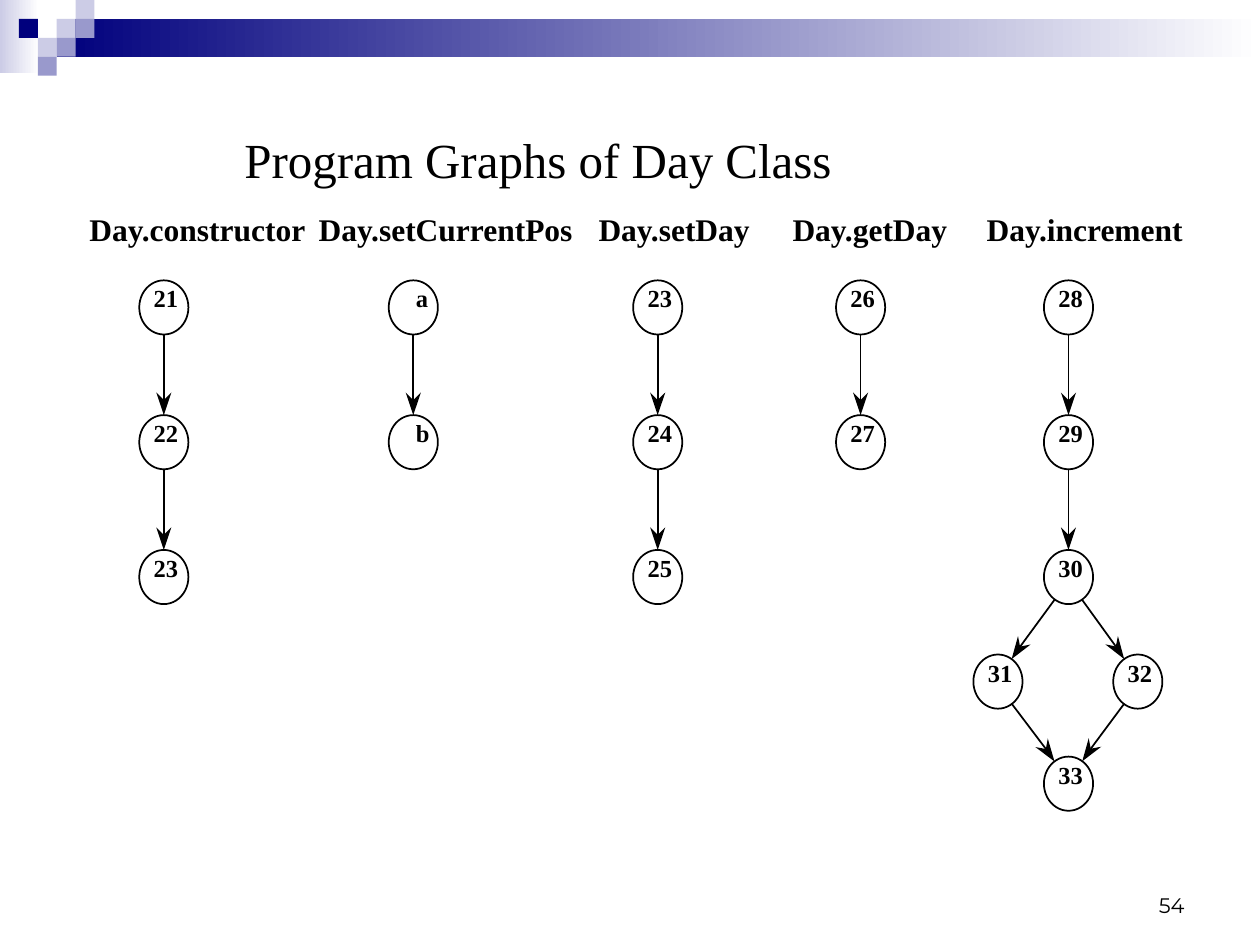
from math import hypot

from lxml.etree import SubElement
from pptx import Presentation
from pptx.dml.color import RGBColor
from pptx.enum.shapes import MSO_CONNECTOR as Connector, MSO_SHAPE as Preset
from pptx.enum.text import MSO_ANCHOR as Anchor, MSO_AUTO_SIZE as AutoSize, PP_ALIGN as Align
from pptx.oxml.ns import qn
from pptx.util import Inches, Pt

TITLE = "Program Graphs of Day Class"
PAGE_NUMBER = "54"

CHAIN = [(0, 1), (1, 2)]
GRAPHS = [
    {"name": "Day.constructor", "left": 0.71, "width": 1.73, "edges": CHAIN,
     "nodes": [("21", 0, 0), ("22", 0, 1), ("23", 0, 2)]},
    {"name": "Day.setCurrentPos", "left": 2.53, "width": 2.04, "edges": CHAIN[:1],
     "nodes": [("a", 1, 0), ("b", 1, 1)]},
    {"name": "Day.setDay", "left": 4.75, "width": 1.22, "edges": CHAIN,
     "nodes": [("23", 2, 0), ("24", 2, 1), ("25", 2, 2)]},
    {"name": "Day.getDay", "left": 6.29, "width": 1.24, "edges": CHAIN[:1],
     "nodes": [("26", 3, 0), ("27", 3, 1)]},
    {"name": "Day.increment", "left": 7.83, "width": 1.58,
     "edges": CHAIN + [(2, 3), (2, 4), (4, 5), (3, 5)],
     "nodes": [("28", 5, 0), ("29", 5, 1), ("30", 5, 2),
               ("31", 4, 3), ("32", 6, 3), ("33", 5, 4)]},
]
COLUMNS = [1.3, 3.28, 5.22, 6.83, 7.92, 8.48, 9.03]
ROWS = [2.44, 3.51, 4.58, 5.41, 6.22]
NODE_WIDTH, NODE_HEIGHT = 0.39, 0.43
LABEL_RIGHT, LABEL_RISE = 0.12, 0.19
DIGIT_WIDTH, LABEL_HEIGHT = 0.1, 0.23
HEAD_LENGTH, HEAD_NOTCH, HEAD_HALF = 0.18, 0.12, 0.06

SQUARE = 0.15
SQUARES = [(3, 1, "pale"), (4, 0, "pale"), (4, 1, "mid"), (2, 2, "pale"),
           (1, 1, "navy"), (3, 2, "mid"), (2, 3, "mid")]
BANDS = [((0, 0, 0.31, 0.58), "pale"), ((0.45, 0.15, 9.55, 0.3), "navy")]

THEME = {
    "pale": RGBColor.from_string("CCCCE6"),
    "mid": RGBColor.from_string("9999CC"),
    "navy": RGBColor.from_string("00007D"),
    "white": RGBColor.from_string("FFFFFF"),
    "ink": RGBColor.from_string("000000"),
    "line": Pt(1),
    "title": {"name": "Times New Roman", "size": Pt(28), "bold": False},
    "heading": {"name": "Times New Roman", "size": Pt(18), "bold": True},
    "label": {"name": "Times New Roman", "size": Pt(14), "bold": True},
    "number": {"name": "Montserrat", "size": Pt(12), "bold": False},
}
TIGHT = {"margin_left": 0, "margin_top": 0, "margin_right": 0, "margin_bottom": 0,
         "word_wrap": False, "auto_size": AutoSize.SHAPE_TO_FIT_TEXT}
FOOTER = {"word_wrap": True, "vertical_anchor": Anchor.BOTTOM}


def apply(target, values):
    for name, value in values.items():
        setattr(target, name, value)


def add_preset(slide, preset, box):
    shape = slide.shapes.add_shape(preset, *map(Inches, box))
    shape.shadow.inherit = False
    return shape


def add_band(slide, box, color):
    shape = add_preset(slide, Preset.RECTANGLE, box)
    shape.line.fill.background()
    shape.fill.gradient()
    shape.fill.gradient_angle = 0
    for stop, name in zip(shape.fill.gradient_stops, (color, "white")):
        stop.color.rgb = THEME[name]


def add_square(slide, column, row, color):
    box = (column * SQUARE, row * SQUARE, SQUARE, SQUARE)
    shape = add_preset(slide, Preset.RECTANGLE, box)
    shape.line.fill.background()
    shape.fill.solid()
    shape.fill.fore_color.rgb = THEME[color]


def add_text(slide, text, box, style, frame_format=TIGHT, align=Align.LEFT):
    frame = slide.shapes.add_textbox(*map(Inches, box)).text_frame
    apply(frame, frame_format)
    paragraph = frame.paragraphs[0]
    paragraph.alignment = align
    run = paragraph.add_run()
    run.text = text
    apply(run.font, THEME[style])
    run.font.color.rgb = THEME["ink"]


def add_node(slide, text, x, y):
    width = DIGIT_WIDTH * len(text)
    add_text(slide, text, (x + LABEL_RIGHT - width, y - LABEL_RISE, width, LABEL_HEIGHT), "label")
    box = (x - NODE_WIDTH / 2, y - NODE_HEIGHT / 2, NODE_WIDTH, NODE_HEIGHT)
    shape = add_preset(slide, Preset.OVAL, box)
    shape.fill.background()
    apply(shape.line, {"width": THEME["line"]})
    shape.line.color.rgb = THEME["ink"]


def add_arrow(slide, source, target):
    (x1, y1), (x2, y2) = source, target
    distance = hypot(x2 - x1, y2 - y1)
    ux, uy = (x2 - x1) / distance, (y2 - y1) / distance
    edge_x, edge_y = NODE_WIDTH / 2 * ux, NODE_HEIGHT / 2 * uy
    start = (x1 + edge_x, y1 + edge_y)
    tip = (x2 - edge_x, y2 - edge_y)

    def behind(back, side=0):
        return tip[0] - back * ux - side * uy, tip[1] - back * uy + side * ux

    notch = behind(HEAD_NOTCH)
    outline = [behind(HEAD_LENGTH, HEAD_HALF), notch, behind(HEAD_LENGTH, -HEAD_HALF)]
    builder = slide.shapes.build_freeform(*map(Inches, tip))
    builder.add_line_segments([tuple(map(Inches, point)) for point in outline], close=True)
    head = builder.convert_to_shape()
    head.shadow.inherit = False
    head.fill.solid()
    head.fill.fore_color.rgb = THEME["ink"]
    head.line.fill.background()

    connector = slide.shapes.add_connector(Connector.STRAIGHT, *map(Inches, start + notch))
    connector.line.color.rgb = THEME["ink"]
    connector.line.width = THEME["line"]
    SubElement(connector._element.spPr, qn("a:effectLst"))


def add_graph(slide, graph):
    add_text(slide, graph["name"], (graph["left"], 1.67, graph["width"], 0.3), "heading")
    centres = [(COLUMNS[column], ROWS[row]) for _, column, row in graph["nodes"]]
    for (text, _, _), centre in zip(graph["nodes"], centres):
        add_node(slide, text, *centre)
    for source, target in graph["edges"]:
        add_arrow(slide, centres[source], centres[target])


def main():
    presentation = Presentation()
    apply(presentation, {"slide_width": Inches(10), "slide_height": Inches(7.5)})
    slide = presentation.slides.add_slide(presentation.slide_layouts[6])
    for box, color in BANDS:
        add_band(slide, box, color)
    for square in SQUARES:
        add_square(slide, *square)
    add_text(slide, PAGE_NUMBER, (7.17, 6.83, 2.33, 0.5), "number", FOOTER, Align.RIGHT)
    add_text(slide, TITLE, (1.94, 1.03, 5.38, 0.47), "title")
    for graph in GRAPHS:
        add_graph(slide, graph)
    presentation.save("out.pptx")


if __name__ == "__main__":
    main()
